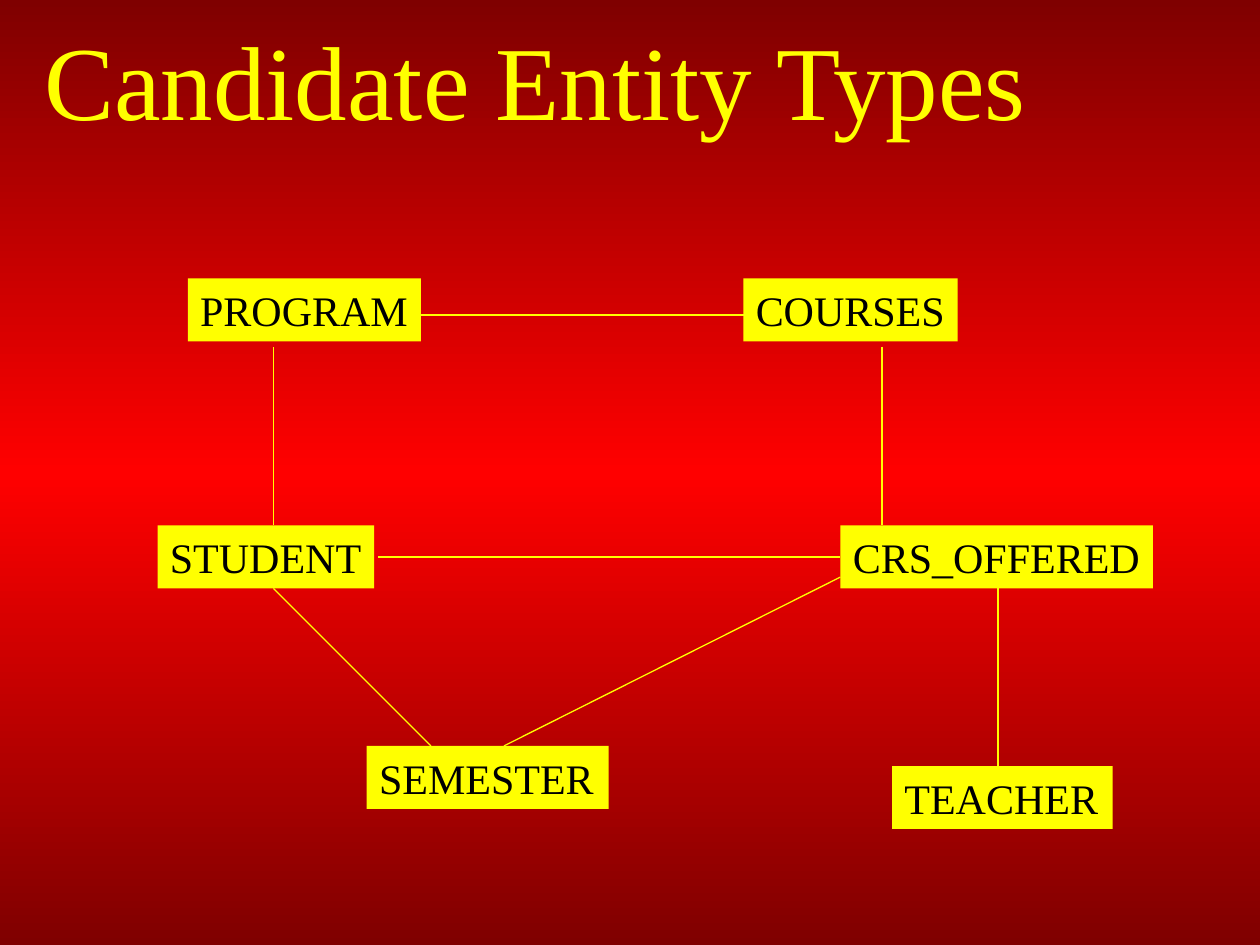
from copy import deepcopy

from pptx import Presentation
from pptx.dml.color import RGBColor
from pptx.enum.shapes import MSO_CONNECTOR, MSO_SHAPE
from pptx.enum.text import MSO_ANCHOR, MSO_AUTO_SIZE, PP_ALIGN
from pptx.oxml.ns import qn
from pptx.oxml.xmlchemy import OxmlElement
from pptx.util import Inches, Pt

RECTANGLE = MSO_SHAPE.RECTANGLE
STRAIGHT = MSO_CONNECTOR.STRAIGHT
MIDDLE = MSO_ANCHOR.MIDDLE
TOP = MSO_ANCHOR.TOP
FIT_SHAPE = MSO_AUTO_SIZE.SHAPE_TO_FIT_TEXT
NO_FIT = MSO_AUTO_SIZE.NONE
CENTER = PP_ALIGN.CENTER
LEFT = PP_ALIGN.LEFT

YELLOW = RGBColor(0xFF, 0xFF, 0x00)
BLACK = RGBColor(0x00, 0x00, 0x00)
RED = RGBColor(0xFF, 0x00, 0x00)
DARK_RED = RGBColor(0x7F, 0x00, 0x00)
FONT = "Times New Roman"

# Content
TITLE = "Candidate Entity Types"
BACKGROUND_STOPS = [(0, DARK_RED), (0.5, RED), (1, DARK_RED)]
ENTITY_HEIGHT = 0.5
ENTITIES = [  # name, left, top, width
    ("PROGRAM", 1.49, 2.21, 1.85),
    ("COURSES", 5.9, 2.21, 1.7),
    ("CRS_OFFERED", 6.67, 4.17, 2.48),
    ("TEACHER", 7.08, 6.08, 1.75),
    ("SEMESTER", 2.91, 5.92, 1.92),
    ("STUDENT", 1.25, 4.17, 1.72),
]
RELATIONSHIPS = [  # start, end
    ((3, 4.42), (6.67, 4.42)),  # STUDENT - CRS_OFFERED
    ((4, 5.92), (6.67, 4.58)),  # SEMESTER - CRS_OFFERED
    ((7, 2.75), (7, 4.17)),  # COURSES - CRS_OFFERED
    ((2.17, 4.17), (2.17, 2.75)),  # STUDENT - PROGRAM
    ((3.33, 2.5), (5.92, 2.5)),  # PROGRAM - COURSES
    ((7.92, 4.67), (7.92, 6.08)),  # CRS_OFFERED - TEACHER
    ((2.17, 4.67), (3.42, 5.92)),  # STUDENT - SEMESTER
]


def write(frame, text, size, color, alignment, anchor):
    frame.text = text
    frame.vertical_anchor = anchor
    paragraph = frame.paragraphs[0]
    paragraph.alignment = alignment
    font = paragraph.runs[0].font
    font.name = FONT
    font.size = Pt(size)
    font.color.rgb = color


def paint_background(slide):
    fill = slide.background.fill
    fill.gradient()
    fill.gradient_angle = 270
    # The default gradient has two stops; a third is added
    stop_list = slide.element.find(".//" + qn("a:gsLst"))
    stop_list.append(deepcopy(stop_list[0]))
    for stop, (position, color) in zip(fill.gradient_stops, BACKGROUND_STOPS):
        stop.position = position
        stop.color.rgb = color


def add_entity(slide, name, left, top, width):
    entity = slide.shapes.add_shape(
        RECTANGLE, Inches(left), Inches(top), Inches(width), Inches(ENTITY_HEIGHT)
    )
    entity.shadow.inherit = False
    entity.fill.solid()
    entity.fill.fore_color.rgb = YELLOW
    entity.line.fill.background()
    frame = entity.text_frame
    write(frame, name, 24, BLACK, LEFT, TOP)
    frame.word_wrap = False
    frame.auto_size = FIT_SHAPE


def add_relationship(slide, start, end):
    points = [Inches(value) for value in start + end]
    relationship = slide.shapes.add_connector(STRAIGHT, *points)
    relationship.line.color.rgb = YELLOW
    relationship.line.width = Pt(0.75)
    relationship.element.spPr.append(OxmlElement("a:effectLst"))


def main():
    presentation = Presentation()
    presentation.slide_width = Inches(10)
    presentation.slide_height = Inches(7.5)
    slide = presentation.slides.add_slide(presentation.slide_layouts[5])
    paint_background(slide)

    # Title
    title = slide.shapes.title
    title.left, title.top = Inches(0), Inches(0)
    title.width, title.height = Inches(8.5), Inches(1.25)
    write(title.text_frame, TITLE, 60, YELLOW, CENTER, MIDDLE)
    title.text_frame.auto_size = NO_FIT

    # Entity diagram
    for entity in ENTITIES:
        add_entity(slide, *entity)
    for start, end in RELATIONSHIPS:
        add_relationship(slide, start, end)

    presentation.save("out.pptx")


if __name__ == "__main__":
    main()
